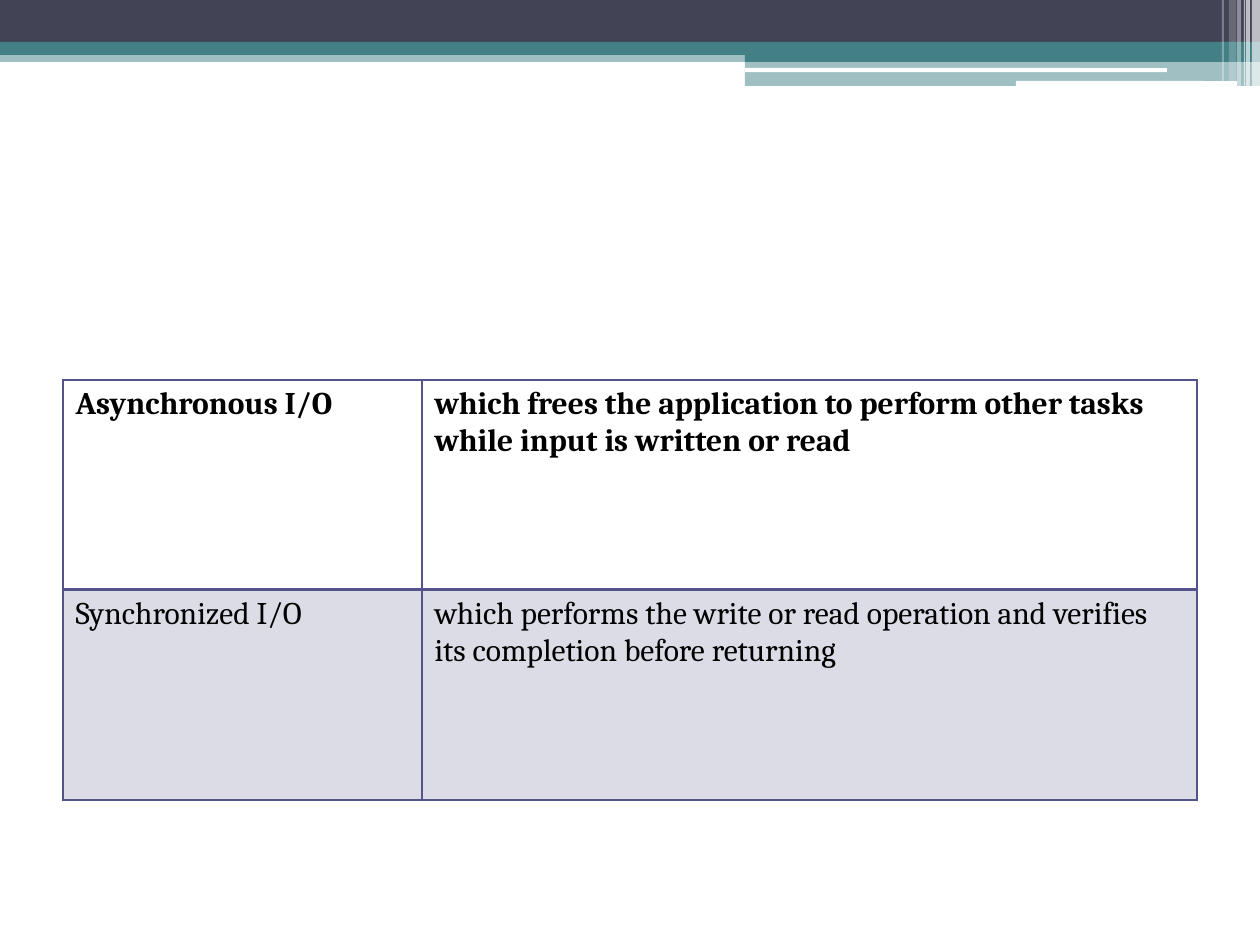
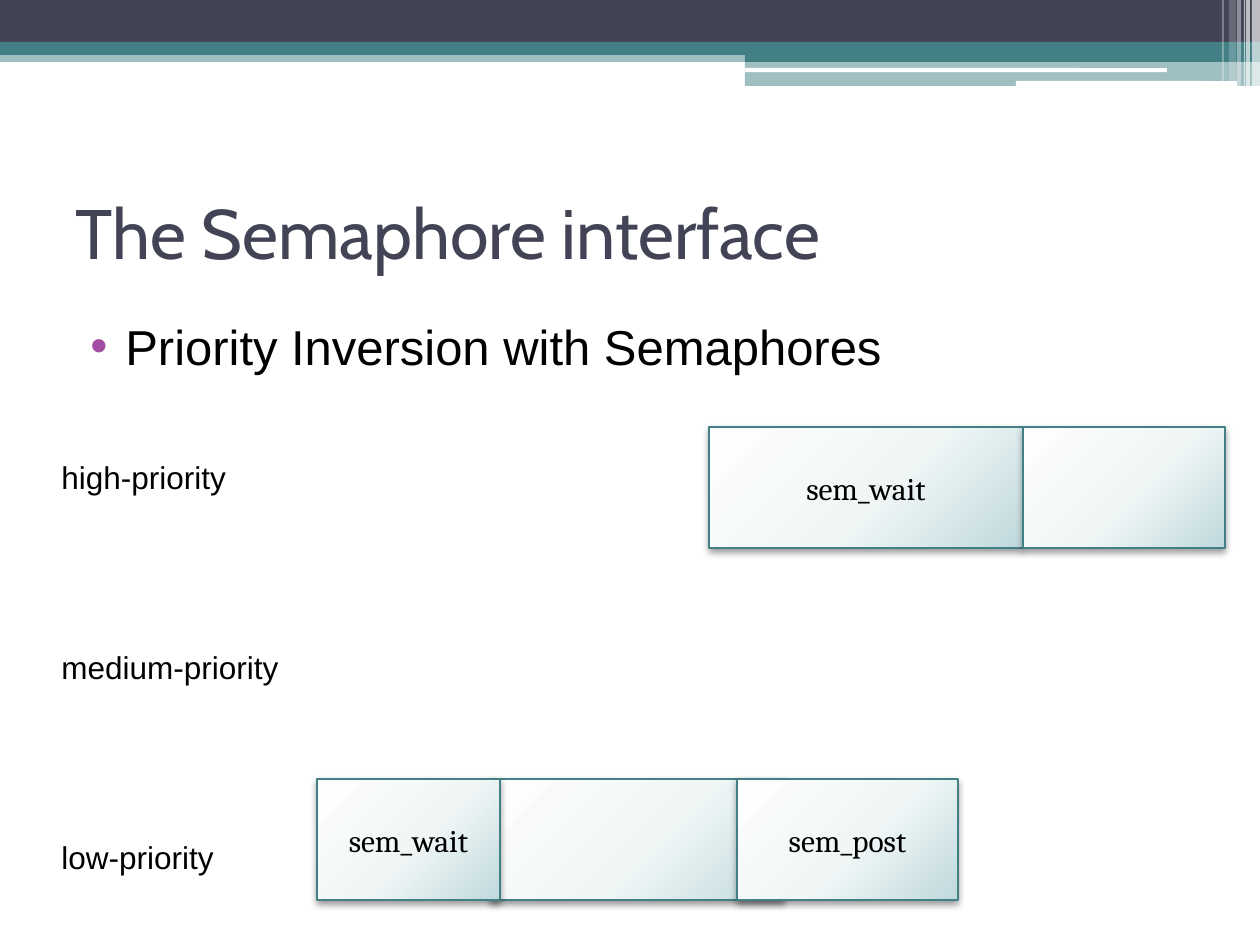
"""Builds two slides on synchronous I/O and semaphore priority inversion."""
import pptx
import pptx.dml.color
import pptx.enum.shapes
import pptx.enum.text
import pptx.oxml
import pptx.oxml.ns
import pptx.util

PX = 914400 // 126
NS = pptx.oxml.ns.nsdecls("a")
RECT = pptx.enum.shapes.MSO_SHAPE.RECTANGLE
ROUND = pptx.enum.shapes.MSO_SHAPE.ROUNDED_RECTANGLE
MIDDLE = pptx.enum.text.MSO_ANCHOR.MIDDLE
CENTER = pptx.enum.text.PP_ALIGN.CENTER
NAVY, TEAL, WHITE, BLACK = "424456", "438086", "FFFFFF", "000000"
VIOLET, PURPLE = "53548A", "A04DA3"


def paint(fill, color, alpha=100):
    """Fill with a solid colour at the given opacity in percent."""
    fill.solid()
    fill.fore_color.rgb = pptx.dml.color.RGBColor.from_string(color)
    if alpha < 100:
        clr = fill._xPr.find(".//" + pptx.oxml.ns.qn("a:srgbClr"))
        clr.append(pptx.oxml.parse_xml(f'<a:alpha {NS} val="{alpha * 1000}"/>'))


def write(tf, text, font, size, color=BLACK, bold=False):
    """Set the text of a frame and format all its runs."""
    tf.text = text
    tf.word_wrap = True
    for p in tf.paragraphs:
        for r in p.runs:
            r.font.name, r.font.size, r.font.bold = font, pptx.util.Pt(size), bold
            paint(r.font.fill, color)


bands = [
    (RECT, 0, 50, 1260, 12, TEAL, 50),
    (RECT, 0, 0, 1260, 43, NAVY, 100),
    (RECT, 0, 42, 1260, 13, TEAL, 100),
    (RECT, 745, 49, 515, 13, TEAL, 100),
    (RECT, 745, 61, 515, 25, TEAL, 50),
    (ROUND, 745, 68, 422, 4, WHITE, 100),
    (ROUND, 1016, 81, 221, 5, WHITE, 100),
    (RECT, 1252, 0, 8, 86, WHITE, 65),
    (RECT, 1246, 0, 4, 86, WHITE, 65),
    (RECT, 1244, 0, 1, 86, WHITE, 60),
    (RECT, 1237, 0, 4, 86, WHITE, 40),
    (RECT, 1229, 0, 7, 81, WHITE, 20),
    (RECT, 1222, 0, 2, 81, WHITE, 30),
]

prs = pptx.Presentation()
prs.slide_width, prs.slide_height = 1260 * PX, 945 * PX
io_slide, sem_slide = [prs.slides.add_slide(prs.slide_layouts[6]) for _ in range(2)]

for slide in (io_slide, sem_slide):
    for kind, x, y, w, h, color, alpha in bands:
        s = slide.shapes.add_shape(kind, x * PX, y * PX, w * PX, h * PX)
        s.shadow.inherit = False
        s.line.fill.background()
        paint(s.fill, color, alpha)

modes = [
    ("Asynchronous I/O",
     "which frees the application to perform other tasks while input is written or read"),
    ("Synchronized I/O",
     "which performs the write or read operation and verifies its completion before returning"),
]
table = io_slide.shapes.add_table(2, 2, 63 * PX, 380 * PX, 1134 * PX, 420 * PX).table
table.first_row = table.horz_banding = False
for column, width in zip(table.columns, (359, 775)):
    column.width = width * PX
for i, row in enumerate(modes):
    table.rows[i].height = 210 * PX
    for j, text in enumerate(row):
        cell = table.cell(i, j)
        write(cell.text_frame, text, "Cambria", 18, bold=i == 0)
        if i == 0:
            cell.fill.background()
        else:
            paint(cell.fill, VIOLET, 20)
        for k, side in enumerate("LRTB"):
            points = 2 if (i, side) in ((0, "B"), (1, "T")) else 1
            cell._tc.get_or_add_tcPr().insert(k, pptx.oxml.parse_xml(
                f'<a:ln{side} {NS} w="{points * 12700}"><a:solidFill>'
                f'<a:srgbClr val="{VIOLET}"/></a:solidFill></a:ln{side}>'))

tf = sem_slide.shapes.add_textbox(63 * PX, 158 * PX, 1134 * PX, 147 * PX).text_frame
write(tf, "The Semaphore interface", "Cabin", 40, NAVY)
tf.vertical_anchor = MIDDLE

tf = sem_slide.shapes.add_textbox(63 * PX, 310 * PX, 1134 * PX, 73 * PX).text_frame
write(tf, "Priority Inversion with Semaphores", "Arial", 28)
p = tf.paragraphs[0]
p.space_before = pptx.util.Pt(3)
pPr = p._p.get_or_add_pPr()
pPr.set("marL", str(50 * PX))
pPr.set("indent", str(-35 * PX))
for xml in (f'<a:buClr {NS}><a:srgbClr val="{PURPLE}"/></a:buClr>',
            f'<a:buFont {NS} typeface="Arial"/>',
            f'<a:buChar {NS} char="•"/>'):
    pPr.append(pptx.oxml.parse_xml(xml))

tf = sem_slide.shapes.add_textbox(49 * PX, 452 * PX, 294 * PX, 432 * PX).text_frame
write(tf, "high-priority\nmedium-priority\nlow-priority", "Arial", 18)
for p in tf.paragraphs[1:]:
    p.space_before = pptx.util.Pt(87)

GRADIENT = (
    f'<a:gradFill {NS} rotWithShape="1"><a:gsLst>'
    + "".join(f'<a:gs pos="{stop * 1000}"><a:srgbClr val="{color}"/></a:gs>'
              for stop, color in ((0, "FEFEFE"), (55, "F0F6F6"), (100, "BFD9DD")))
    + '</a:gsLst><a:path path="circle"><a:fillToRect l="-40000" t="-90000" '
      'r="140000" b="190000"/></a:path></a:gradFill>')
SHADOW = (
    f'<a:outerShdw {NS} blurRad="52070" dist="25400" dir="5400000" rotWithShape="0">'
    f'<a:srgbClr val="{BLACK}"><a:alpha val="40000"/></a:srgbClr></a:outerShdw>')

HIGH, LOW = 427, 779
steps = [
    (709, HIGH, 314, "sem_wait"),
    (1023, HIGH, 202, ""),
    (490, LOW, 294, ""),
    (737, LOW, 221, "sem_post"),
    (317, LOW, 183, "sem_wait"),
]
for x, y, w, text in steps:
    s = sem_slide.shapes.add_shape(RECT, x * PX, y * PX, w * PX, 121 * PX)
    s.fill.background()
    spPr = s._element.spPr
    spPr.replace(spPr.find(pptx.oxml.ns.qn("a:noFill")), pptx.oxml.parse_xml(GRADIENT))
    paint(s.line.fill, TEAL)
    s.line.width = pptx.util.Pt(0.75)
    s.shadow.inherit = False
    spPr.find(pptx.oxml.ns.qn("a:effectLst")).append(pptx.oxml.parse_xml(SHADOW))
    if text:
        write(s.text_frame, text, "Cambria", 18)
        s.text_frame.vertical_anchor = MIDDLE
        s.text_frame.paragraphs[0].alignment = CENTER

prs.save("out.pptx")
